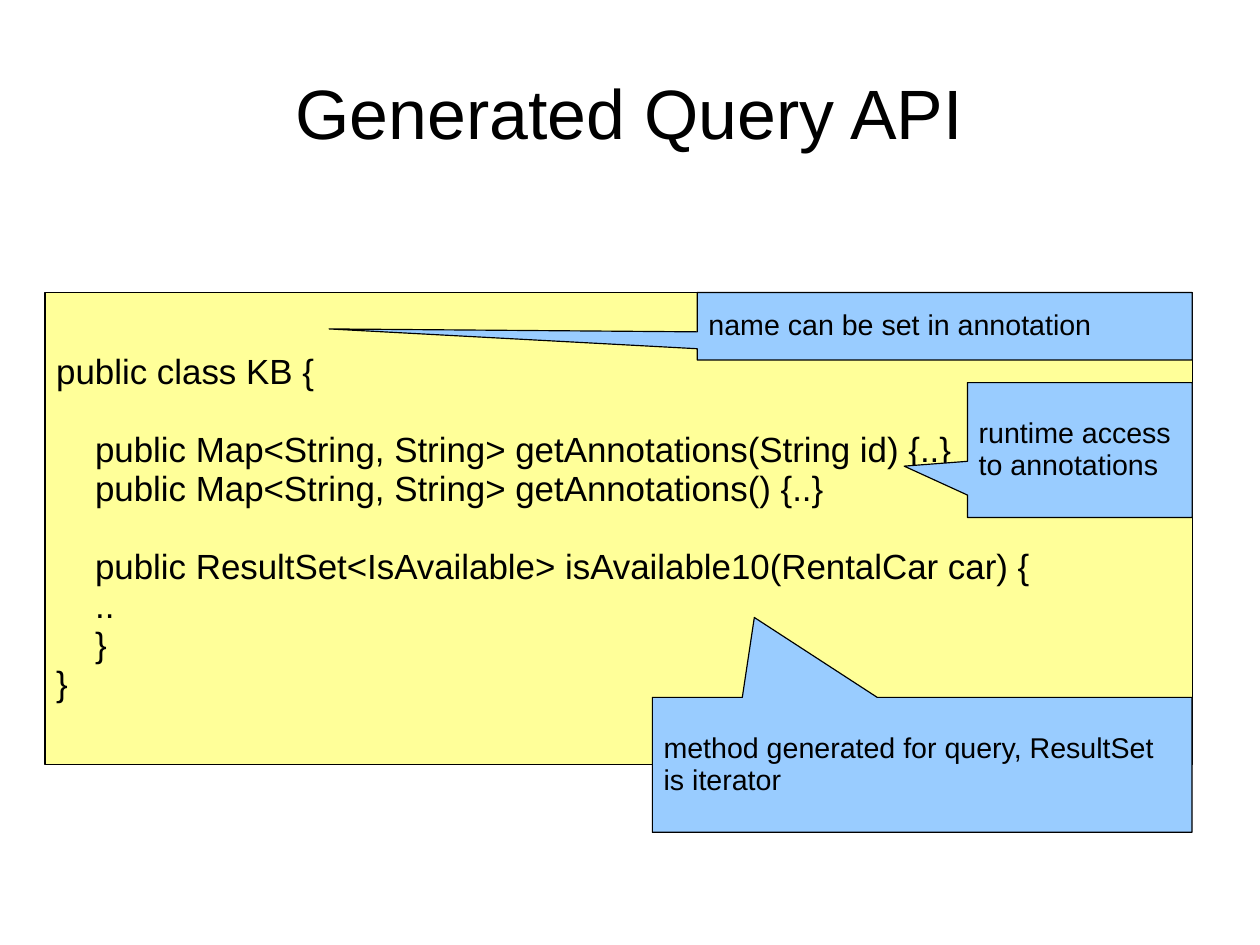
"""Build the Generated Query API slide with its code panel and callouts."""
import pptx
import pptx.dml.color
import pptx.enum.shapes
import pptx.enum.text
import pptx.util

Pt = pptx.util.Pt
Shape = pptx.enum.shapes.MSO_SHAPE
Align = pptx.enum.text.PP_ALIGN


def colour(value):
    return pptx.dml.color.RGBColor.from_string(value)


def write(para, text, size, align):
    para.alignment = align
    para.line_spacing = 0.93
    span = para.add_run()
    span.text = text
    span.font.size = Pt(size)
    span.font.name = "Arial"
    span.font.color.rgb = colour("000000")


deck = pptx.Presentation()
deck.slide_width = Pt(793.75)
deck.slide_height = Pt(595.25)
page = deck.slides.add_slide(deck.slide_layouts[5])

title = page.shapes.title
title.left, title.top, title.width, title.height = Pt(39.6), Pt(23.76), Pt(714.24), Pt(99.36)
frame = title.text_frame
frame.margin_left = frame.margin_right = frame.margin_top = frame.margin_bottom = 0
frame.vertical_anchor = pptx.enum.text.MSO_ANCHOR.MIDDLE
frame.auto_size = pptx.enum.text.MSO_AUTO_SIZE.NONE
frame.word_wrap = True
write(frame.paragraphs[0], "Generated Query API", 44, Align.CENTER)

code_lines = [
    ("public class KB {", 0, 0),
    ("public Map<String, String> getAnnotations(String id) {..}", 1, 1),
    ("public Map<String, String> getAnnotations() {..}", 1, 0),
    ("public ResultSet<IsAvailable> isAvailable10(RentalCar car) {", 1, 1),
    ("..", 1, 0),
    ("}", 1, 0),
    ("}", 0, 0),
]
boxes = [
    (Shape.RECTANGLE, (28.35, 184.25, 722.85, 297.5), (), "FFFF99", 22, code_lines),
    (Shape.RECTANGULAR_CALLOUT, (439.25, 184.25, 311.75, 42.5), (-1.244, 0.04), "99CCFF", 18,
     [("name can be set in annotation", 0, 0)]),
    (Shape.RECTANGULAR_CALLOUT, (609.5, 241, 141.5, 85), (-0.782, 0.119), "99CCFF", 18,
     [("runtime access to annotations", 0, 0)]),
    (Shape.RECTANGULAR_CALLOUT, (411, 439.25, 340, 85), (-0.311, -1.092), "99CCFF", 18,
     [("method generated for query, ResultSet is iterator", 0, 0)]),
]

for kind, place, pointer, fill, size, lines in boxes:
    box = page.shapes.add_shape(kind, *[Pt(length) for length in place])
    box.shadow.inherit = False
    box.fill.solid()
    box.fill.fore_color.rgb = colour(fill)
    box.line.color.rgb = colour("000000")
    box.line.width = Pt(0.75)
    for index, offset in enumerate(pointer):
        box.adjustments[index] = offset
    frame = box.text_frame
    frame.word_wrap = True
    frame.vertical_anchor = pptx.enum.text.MSO_ANCHOR.MIDDLE
    frame.margin_left = frame.margin_right = Pt(7.2)
    frame.margin_top = frame.margin_bottom = Pt(3.6)
    for index, (text, level, gap) in enumerate(lines):
        para = frame.add_paragraph() if index else frame.paragraphs[0]
        write(para, text, size, Align.LEFT)
        para.space_before = Pt(24.5 * gap)
        para._p.get_or_add_pPr().set("marL", str(Pt(24.5 * level)))

deck.save("out.pptx")
